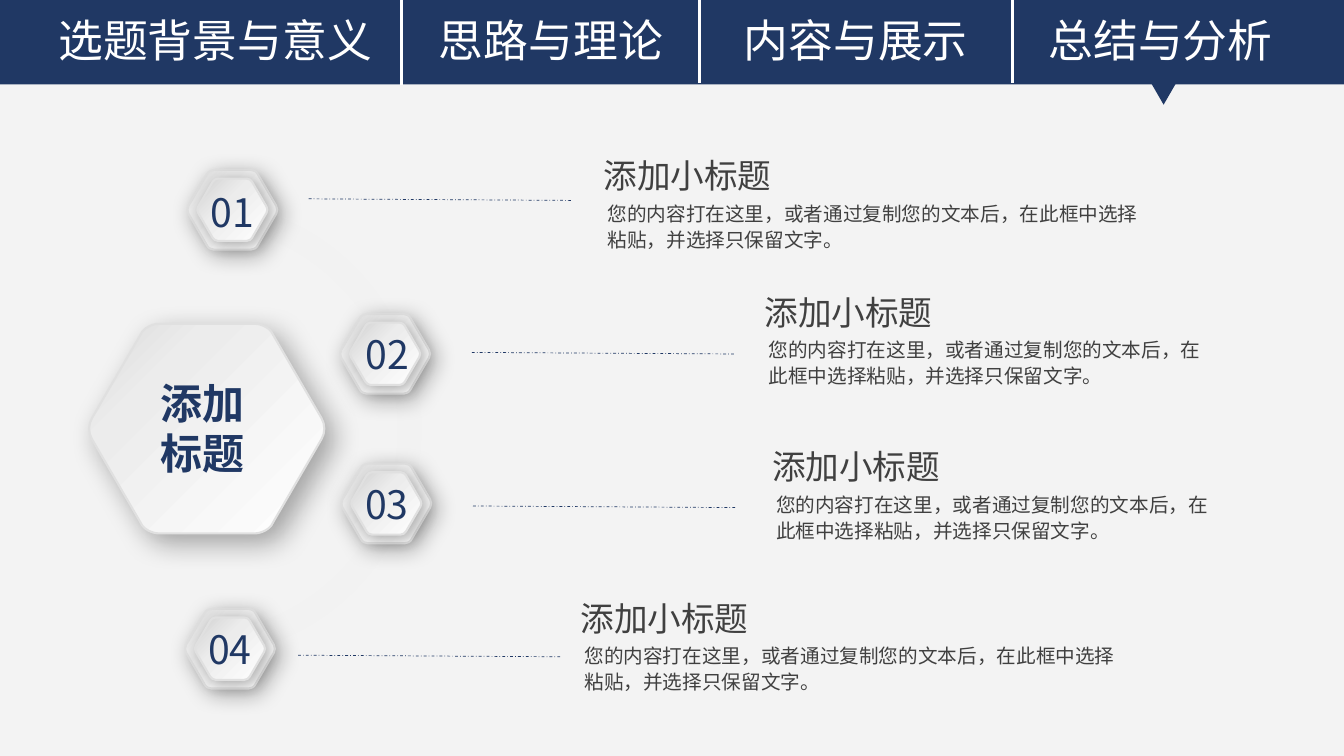
from lxml.etree import SubElement
from pptx import Presentation
from pptx.dml.color import RGBColor
from pptx.enum.dml import MSO_LINE
from pptx.enum.shapes import MSO_CONNECTOR, MSO_SHAPE
from pptx.enum.text import MSO_AUTO_SIZE, PP_ALIGN
from pptx.oxml.ns import qn
from pptx.util import Cm, Pt

FONT = "Noto Sans CJK SC"
COLORS = {
    "page": "F3F3F3", "navy": "203864", "white": "FFFFFF", "ring": "F2F2F2",
    "edge": "E0E0E0", "text": "404040", "shadow": "000000",
    "light": "ECECEC", "grey": "D9D9D9", "dark": "D1D1D1",
}
OUTER_STOPS = ((0, "white"), (73, "light"), (100, "grey"))
INNER_STOPS = ((0, "white"), (60, "light"), (100, "dark"))

# left, width, text
TABS = (
    (0.69, 9.47, "选题背景与意义"),
    (10.55, 6.68, "思路与理论"),
    (18.23, 6.68, "内容与展示"),
    (25.91, 6.68, "总结与分析"),
)
DIVIDERS = ((10.11, 2.13), (17.63, 2.08), (25.52, 2.08))  # x, bottom
# left and top of badge, number, leader and heading, then body width
ITEMS = (
    ((4.72, 4.28), (4.64, 4.61), (7.78, 5.01), (14.88, 3.91), 14.15),
    ((8.57, 7.91), (8.54, 8.2), (11.89, 8.88), (18.94, 7.35), 11.63),
    ((8.6, 11.68), (8.53, 11.99), (11.92, 12.75), (19.13, 11.24), 11.63),
    ((4.66, 15.34), (4.57, 15.62), (7.51, 16.51), (14.3, 15.06), 14.15),
)
HEADING = "添加小标题"
BODY = "您的内容打在这里，或者通过复制您的文本后，在此框中选择粘贴，并选择只保留文字。"

# Curves of two hexagon corners, as shares of width and height
TOP_RIGHT = ((0.705, 0), (0.73, 0), (0.77, 0.02), (0.78, 0.05))
RIGHT = ((0.987, 0.45), (1.003, 0.48), (1.003, 0.52), (0.987, 0.55))
# Half ring: one point for a line, three for a curve
RING = (
    ((0, 0),), ((0.58, 0.03),),
    ((3.51, 0.3), (5.77, 2.77), (5.77, 5.75)),
    ((5.77, 8.74), (3.51, 11.21), (0.58, 11.48)),
    ((0, 11.51),), ((0, 10.93),), ((0.53, 10.9),),
    ((3.15, 10.62), (5.18, 8.43), (5.18, 5.75)),
    ((5.18, 3.08), (3.15, 0.89), (0.53, 0.61)),
    ((0, 0.58),),
)


def color(name):
    return RGBColor.from_string(COLORS[name])


def add_text(shapes, left, top, width, height, lines, size, tint,
             bold=None, align=None, spacing=None, wrap=True, grow=False):
    box = shapes.add_textbox(Cm(left), Cm(top), Cm(width), Cm(height))
    frame = box.text_frame
    frame.word_wrap = wrap
    frame.auto_size = MSO_AUTO_SIZE.SHAPE_TO_FIT_TEXT if grow else MSO_AUTO_SIZE.NONE
    frame.text = "\n".join(lines)
    for para in frame.paragraphs:
        para.alignment = align
        para.line_spacing = spacing
        font = para.font
        font.size, font.bold, font.name = Pt(size), bold, FONT
        font.color.rgb = color(tint)
        SubElement(font._element, qn("a:ea"), typeface=FONT)
    return frame


def add_line(shapes, start, end, tint, width, dash=None):
    line = shapes.add_connector(
        MSO_CONNECTOR.STRAIGHT, *(Cm(value) for value in (*start, *end)))
    line.line.color.rgb = color(tint)
    line.line.width = Pt(width)
    if dash:
        line.line.dash_style = dash
    SubElement(line._element.spPr, qn("a:effectLst"))


def add_flat(shapes, kind, left, top, width, height):
    shape = shapes.add_shape(kind, Cm(left), Cm(top), Cm(width), Cm(height))
    shape.shadow.inherit = False
    shape.fill.solid()
    shape.fill.fore_color.rgb = color("navy")
    shape.line.fill.background()
    return shape


def add_outline(shapes, left, top, width, height, segments):
    """Add a closed outline of lines and curves, given from its top left corner."""
    right, bottom = left + width, top + height
    builder = shapes.build_freeform(Cm(left), Cm(top))
    builder.add_line_segments(
        [(Cm(right), Cm(top)), (Cm(right), Cm(bottom)), (Cm(left), Cm(bottom))])
    shape = builder.convert_to_shape()
    shape.shadow.inherit = False

    outline = next(shape._element.iter(qn("a:path")))
    for command in list(outline):
        outline.remove(command)
    for index, points in enumerate(segments):
        line_tag = "a:lnTo" if index else "a:moveTo"
        tag = "a:cubicBezTo" if len(points) == 3 else line_tag
        command = SubElement(outline, qn(tag))
        for x, y in points:
            SubElement(command, qn("a:pt"), x=str(Cm(x)), y=str(Cm(y)))
    SubElement(outline, qn("a:close"))
    return shape


def add_hexagon(shapes, left, top, width, height, stops, alpha, blur, distance):
    """Add a rounded hexagon with a diagonal gradient and a soft shadow."""
    bottom_right = [(x, 1 - y) for x, y in reversed(TOP_RIGHT)]
    half = [TOP_RIGHT, RIGHT, bottom_right]
    corners = half + [[(1 - x, 1 - y) for x, y in corner] for corner in half]
    segments = []
    for corner in corners:
        points = [(x * width, y * height) for x, y in corner]
        segments += [points[:1], points[1:]]
    shape = add_outline(shapes, left, top, width, height, segments)
    shape.rotation = 180
    shape.line.color.rgb = color("edge")
    shape.line.width = Pt(1.5)

    shape.fill.gradient()
    shape.fill.gradient_angle = 315
    properties = shape._element.spPr
    stop_list = properties.find(qn("a:gradFill")).find(qn("a:gsLst"))
    for old_stop in list(stop_list):
        stop_list.remove(old_stop)
    for position, tint in stops:
        stop = SubElement(stop_list, qn("a:gs"), pos=str(position * 1000))
        SubElement(stop, qn("a:srgbClr"), val=COLORS[tint])

    shadow = SubElement(
        properties.find(qn("a:effectLst")), qn("a:outerShdw"),
        blurRad=str(Pt(blur)), dist=str(Pt(distance)), dir="2700000",
        algn="tl", rotWithShape="0")
    tone = SubElement(shadow, qn("a:srgbClr"), val=COLORS["shadow"])
    SubElement(tone, qn("a:alpha"), val=str(alpha * 1000))


def add_header(page):
    shapes = page.shapes.add_group_shape().shapes
    add_flat(shapes, MSO_SHAPE.RECTANGLE, 0, 0, 33.87, 2.13)
    for left, width, label in TABS:
        add_text(shapes, left, 0.2, width, 1.63, [label], 32, "white",
                 align=PP_ALIGN.CENTER, grow=True)
    for x, bottom in DIVIDERS:
        add_line(shapes, (x, 0), (x, bottom), "white", 2.25)
    marker = add_flat(page.shapes, MSO_SHAPE.ISOSCELES_TRIANGLE,
                      28.99, 2.06, 0.67, 0.58)
    marker._element.spPr.find(qn("a:xfrm")).set("flipV", "1")


def add_ring(page):
    """Add the pale half ring behind the badges."""
    ring = add_outline(page.shapes, 4.85, 5.05, 5.77, 11.51, RING)
    ring.fill.solid()
    ring.fill.fore_color.rgb = color("ring")
    ring.line.fill.background()


def add_badge(page, left, top):
    shapes = page.shapes.add_group_shape().shapes
    add_hexagon(shapes, left, top, 2.27, 2.01, OUTER_STOPS, 32, 16, 5)
    add_hexagon(shapes, left + 0.25, top + 0.22, 1.77, 1.57, INNER_STOPS, 33, 12, 3)


def add_entry(page, left, top, body_width):
    frame = add_text(page.shapes, left, top, 11.94, 1.02, [HEADING], 24, "text")
    frame.margin_left = frame.margin_right = Cm(0.33)
    frame.margin_top = frame.margin_bottom = 0
    add_text(page.shapes, left + 0.18, top + 0.99, body_width, 1.98, [BODY],
             14, "text", spacing=1.1)


def main():
    deck = Presentation()
    deck.slide_width, deck.slide_height = Cm(33.87), Cm(19.05)
    page = deck.slides.add_slide(deck.slide_layouts[6])
    page.background.fill.solid()
    page.background.fill.fore_color.rgb = color("page")

    add_header(page)
    add_ring(page)
    add_hexagon(page.shapes, 2.24, 8.16, 5.94, 5.28, OUTER_STOPS, 32, 20, 9)
    add_text(page.shapes, 3.8, 9.38, 2.64, 2.82, ["添加", "标题"], 30, "navy",
             bold=True, wrap=False, grow=True)
    for index, (badge, label, leader, heading, body_width) in enumerate(ITEMS):
        add_badge(page, *badge)
        add_text(page.shapes, *label, 2.44, 1.45, [f"{index + 1:02}"], 28, "navy",
                 align=PP_ALIGN.CENTER, grow=True)
        x, y = leader
        add_line(page.shapes, leader, (x + 6.63, y + 0.04), "navy", 0.5,
                 MSO_LINE.DASH_DOT)
        add_entry(page, *heading, body_width)
    deck.save("out.pptx")


if __name__ == "__main__":
    main()
